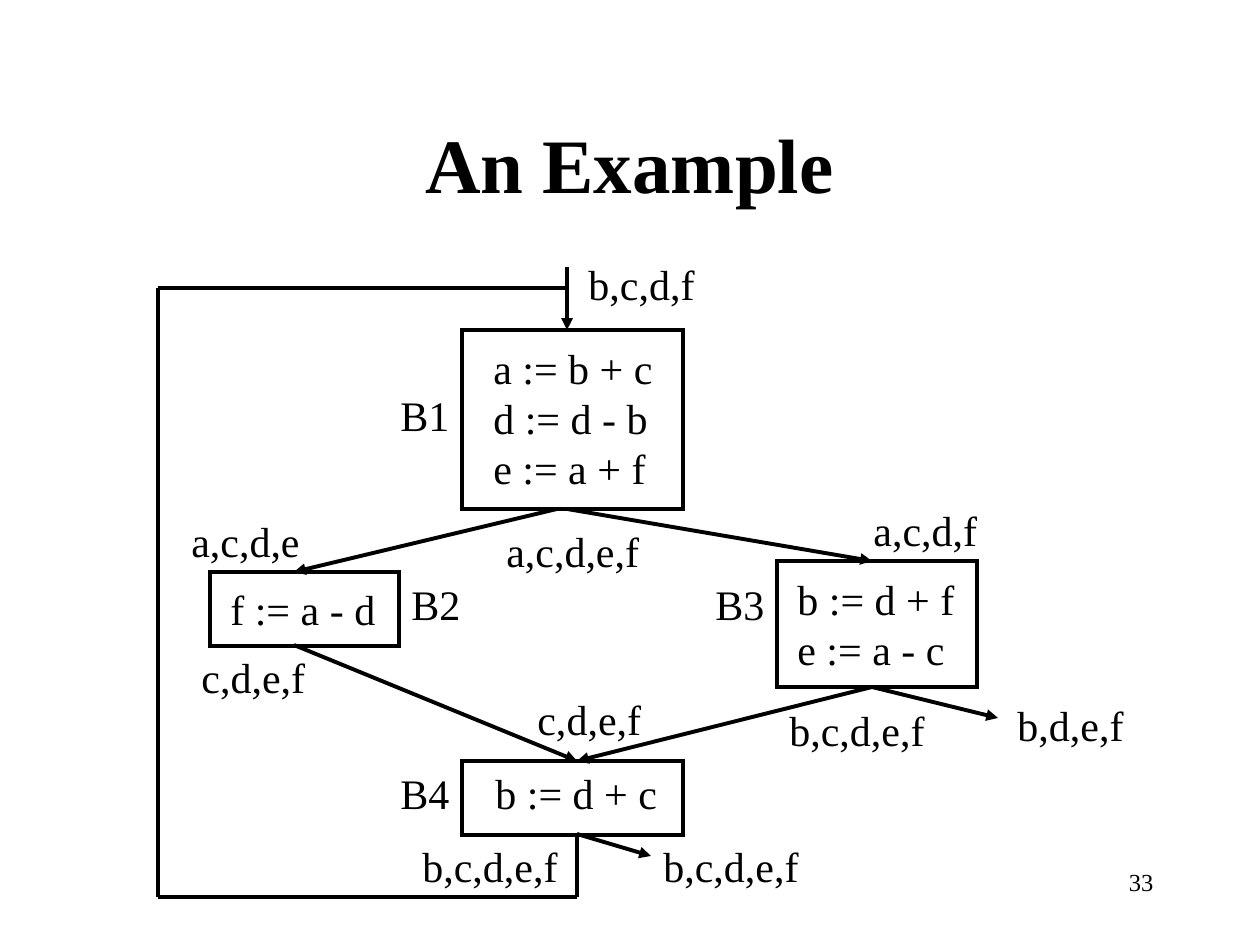
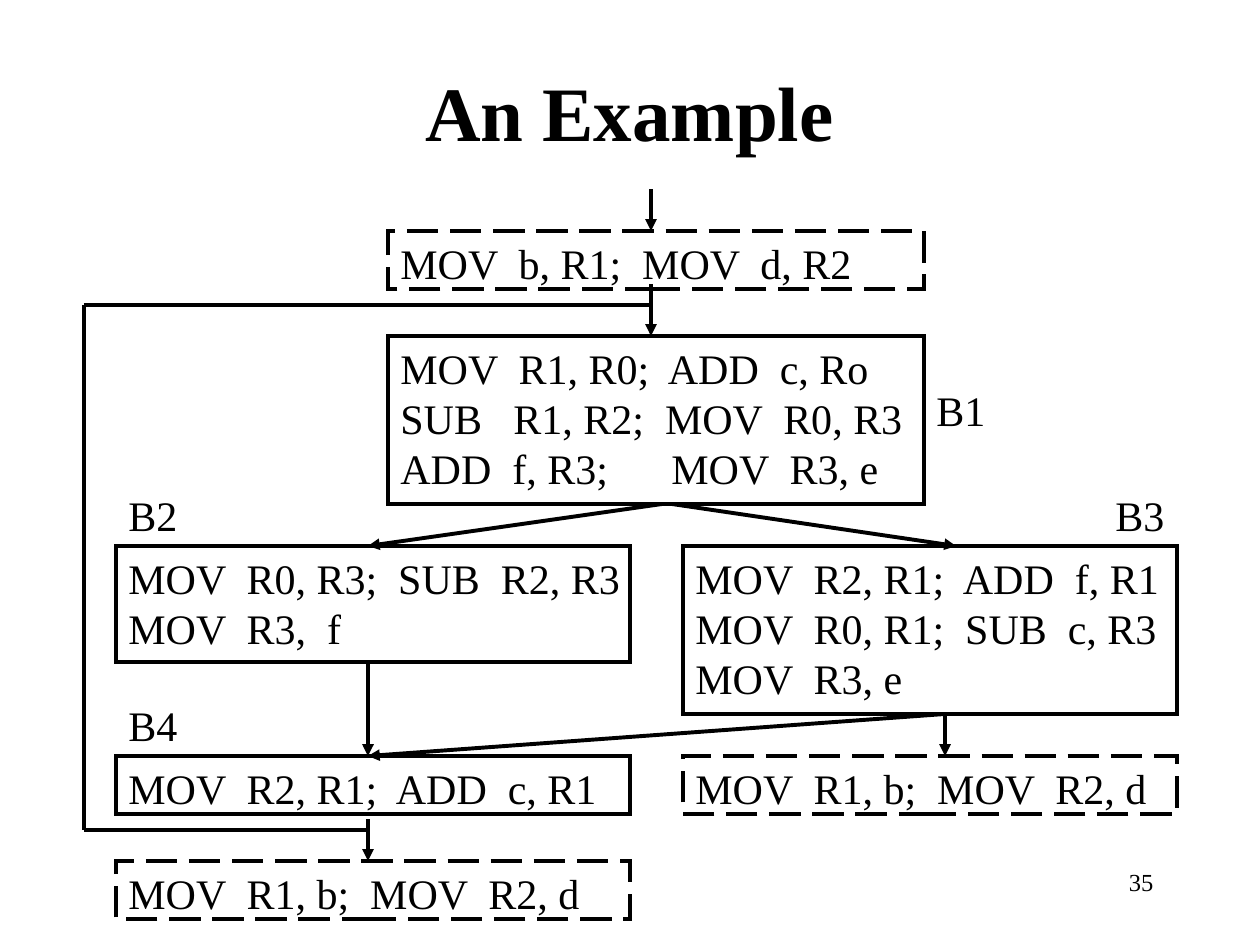
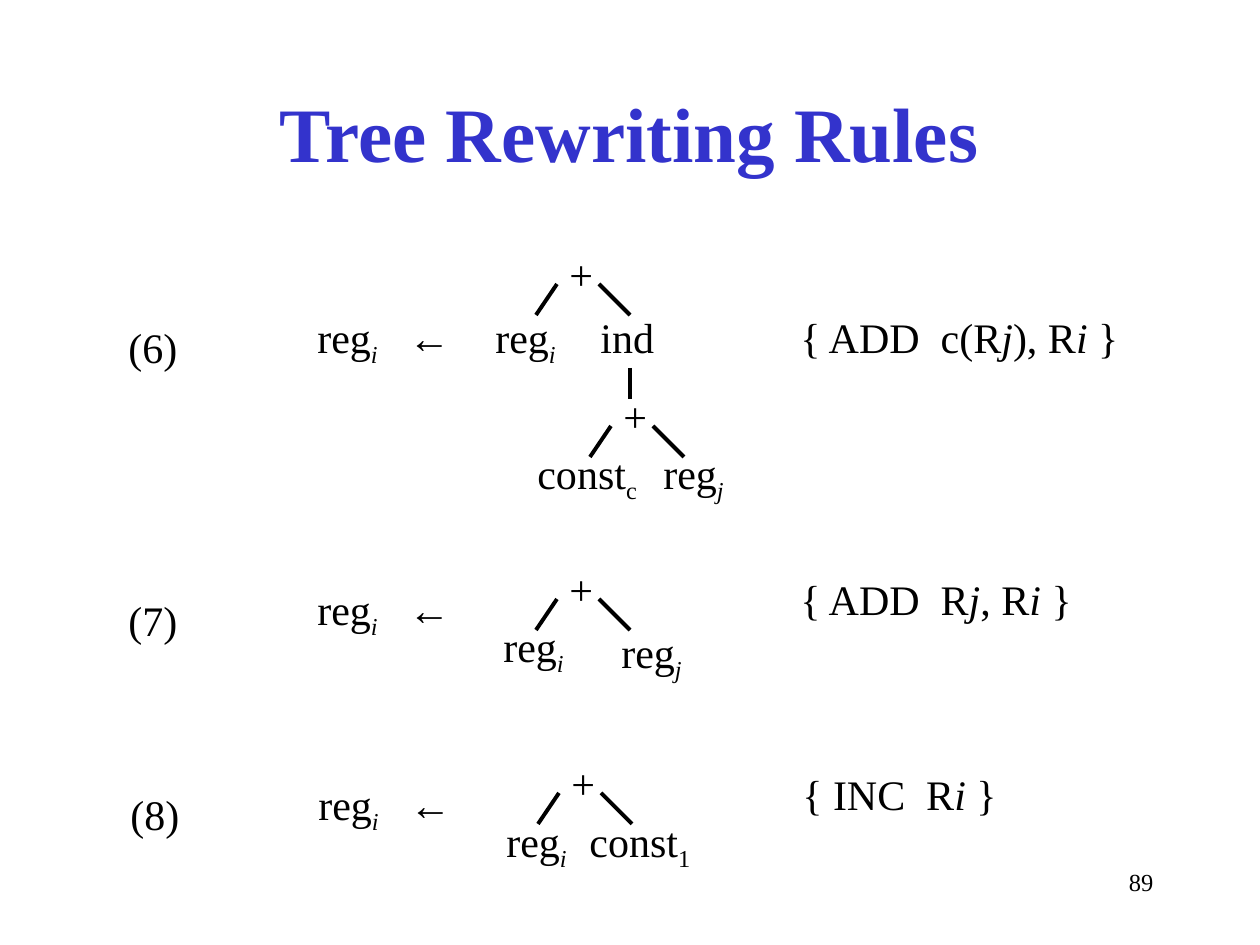
"""Build three compiler slides: two flow graphs and a set of tree rewriting rules."""
from dataclasses import dataclass

from lxml.etree import SubElement
from pptx import Presentation
from pptx.dml.color import RGBColor
from pptx.enum.dml import MSO_LINE
from pptx.enum.shapes import MSO_CONNECTOR, MSO_SHAPE
from pptx.enum.text import MSO_ANCHOR, MSO_AUTO_SIZE, PP_ALIGN
from pptx.oxml.ns import qn
from pptx.util import Emu, Pt

PX_PER_INCH = 126


@dataclass(frozen=True)
class Theme:
    font: str = "Times New Roman"
    ink: RGBColor = RGBColor(0, 0, 0)
    accent: RGBColor = RGBColor(0x33, 0x33, 0xCC)
    title_size: int = 44
    text_size: int = 24
    page_size: int = 14
    line_width: float = 2.25
    line_height: int = 63
    line_step: float = 50.4
    text_slack: int = 4


THEME = Theme()
TITLE_LEFT, TITLE_WIDTH, TITLE_HEIGHT = 94, 1071, 158
PAGE_SPOT = (903, 861, 259)
LABEL_WIDTH = 74

LIVENESS_GRAPH = {
    "title": "An Example", "title_top": 84, "page": "33",
    "blocks": [
        ((462, 330, 221, 179), (481, 336, 184), ["a := b + c", "d := d - b", "e := a + f"]),
        ((210, 572, 189, 74), (218, 577, 170), ["f := a - d"]),
        ((777, 561, 200, 126), (785, 567, 183), ["b := d + f", "e := a - c"]),
        ((462, 761, 221, 74), (483, 761, 186), ["b := d + c"]),
    ],
    "exits": [],
    "labels": [("B1", 388, 383), ("B2", 399, 572), ("B3", 703, 572), ("B4", 388, 761)],
    "live": [
        ("b,c,d,f", 576, 252, 131), ("a,c,d,e,f", 494, 519, 159),
        ("a,c,d,e", 179, 509, 134), ("c,d,e,f", 189, 645, 129),
        ("a,c,d,f", 861, 498, 129), ("b,c,d,e,f", 777, 698, 160),
        ("b,d,e,f", 1005, 693, 131), ("c,d,e,f", 525, 687, 129),
        ("b,c,d,e,f", 410, 834, 160), ("b,c,d,e,f", 651, 834, 160),
    ],
    "arrows": [
        ((567, 267), (567, 330)), ((557, 509), (294, 572)), ((567, 509), (872, 561)),
        ((294, 645), (577, 761)), ((872, 687), (577, 761)), ((872, 687), (998, 718)),
        ((577, 834), (651, 856)),
    ],
    "loop": [(577, 834), (577, 897), (158, 897), (158, 288), (567, 288)],
}

REGISTER_GRAPH = {
    "title": "An Example", "title_top": 32, "page": "35",
    "blocks": [
        ((388, 336, 536, 168), (388, 336, 528),
         ["MOV  R1, R0;  ADD  c, Ro", "SUB   R1, R2;  MOV  R0, R3", "ADD  f, R3;\tMOV  R3, e"]),
        ((116, 546, 514, 116), (116, 546, 518), ["MOV  R0, R3;  SUB  R2, R3", "MOV  R3,  f"]),
        ((683, 546, 494, 168), (683, 546, 493),
         ["MOV  R2, R1;  ADD  f, R1", "MOV  R0, R1;  SUB  c, R3", "MOV  R3, e"]),
        ((116, 756, 514, 58), (116, 756, 496), ["MOV  R2, R1;  ADD  c, R1"]),
    ],
    "exits": [
        ((388, 231, 536, 58), (388, 231, 479), ["MOV  b, R1;  MOV  d, R2"]),
        ((683, 756, 494, 58), (683, 756, 479), ["MOV  R1, b;  MOV  R2, d"]),
        ((116, 861, 514, 58), (116, 861, 479), ["MOV  R1, b;  MOV  R2, d"]),
    ],
    "labels": [("B1", 924, 378), ("B2", 116, 483), ("B3", 1103, 483), ("B4", 116, 693)],
    "live": [],
    "arrows": [
        ((651, 189), (651, 231)), ((651, 284), (651, 336)), ((662, 504), (368, 546)),
        ((672, 504), (956, 546)), ((368, 662), (368, 756)), ((945, 714), (368, 756)),
        ((945, 714), (945, 756)), ((368, 819), (368, 861)),
    ],
    "loop": [(368, 830), (84, 830), (84, 305), (651, 305)],
}
CODE_TAB, REWRITE_TAB = 271, 91

REG_I = [("reg", ""), ("i", "is")]
REG_J = [("reg", ""), ("j", "is")]
CONST_C = [("const", ""), ("c", "s")]
CONST_1 = [("const", ""), ("1", "s")]
REWRITTEN = REG_I + [("\t", ""), ("←", "b")]

RULES = [
    {
        "number": ("(6)", 116, 315), "result": (305, 305),
        "action": ([("{ ADD  c(R", ""), ("j", "i"), ("), R", ""), ("i", "i"), (" }", "")],
                   788, 305, 345),
        "pluses": [(557, 242), (611, 384)],
        "nodes": [(REG_I, 483, 305, 87), ("ind", 588, 305, 79),
                  (CONST_C, 525, 441, 126), (REG_J, 651, 441, 87)],
        "stems": [((630, 368), (630, 399))],
    },
    {
        "number": ("(7)", 116, 588), "result": (305, 577),
        "action": ([("{ ADD  R", ""), ("j", "i"), (", R", ""), ("i", "i"), (" }", "")],
                   788, 567, 299),
        "pluses": [(557, 557)],
        "nodes": [(REG_I, 491, 614, 87), (REG_J, 609, 620, 87)],
        "stems": [],
    },
    {
        "number": ("(8)", 118, 782), "result": (306, 772),
        "action": ([("{ INC  R", ""), ("i", "i"), (" }", "")], 790, 762, 219),
        "pluses": [(559, 751)],
        "nodes": [(REG_I, 494, 809, 87), (CONST_1, 577, 809, 129)],
        "stems": [],
    },
]
PLUS_WIDTH, RESULT_WIDTH = 49, 160
BRANCHES = [((0, 42), (-21, 73)), ((42, 42), (73, 73))]


def px(length):
    return Emu(round(length * 914400 / PX_PER_INCH))


def style_run(run, size, color=THEME.ink, marks=""):
    font = run.font
    font.name, font.size, font.color.rgb = THEME.font, Pt(size), color
    if "b" in marks:
        font.bold = True
    if "i" in marks:
        font.italic = True
    if "s" in marks:
        run._r.get_or_add_rPr().set("baseline", "-25000")


def add_tab_stop(paragraph, position):
    stops = SubElement(paragraph._p.get_or_add_pPr(), qn("a:tabLst"))
    SubElement(stops, qn("a:tab"), pos=str(px(position)), algn="l")


def add_text(slide, lines, left, top, width, size=THEME.text_size, tab=None):
    width += THEME.text_slack
    height = THEME.line_height + THEME.line_step * (len(lines) - 1)
    frame = slide.shapes.add_textbox(px(left), px(top), px(width), px(height)).text_frame
    frame.word_wrap = False
    frame.auto_size = MSO_AUTO_SIZE.SHAPE_TO_FIT_TEXT
    for index, line in enumerate(lines):
        paragraph = frame.add_paragraph() if index else frame.paragraphs[0]
        pieces = [(line, "")] if isinstance(line, str) else line
        for words, marks in pieces:
            run = paragraph.add_run()
            run.text = words
            style_run(run, size, marks=marks)
        if any("\t" in words for words, _ in pieces):
            add_tab_stop(paragraph, tab)
    return frame


def set_line(line):
    line.color.rgb = THEME.ink
    line.width = Pt(THEME.line_width)


def add_line(slide, start, end, arrow=False):
    connector = slide.shapes.add_connector(MSO_CONNECTOR.STRAIGHT, *map(px, (*start, *end)))
    set_line(connector.line)
    if arrow:
        SubElement(connector.line._get_or_add_ln(), qn("a:tailEnd"), type="triangle")
    SubElement(connector._element.spPr, qn("a:effectLst"))


def add_block(slide, box, code_spot, code, dashed=False):
    add_text(slide, code, *code_spot, tab=CODE_TAB)
    outline = slide.shapes.add_shape(MSO_SHAPE.RECTANGLE, *map(px, box))
    outline.shadow.inherit = False
    outline.fill.background()
    set_line(outline.line)
    if dashed:
        outline.line.dash_style = MSO_LINE.LONG_DASH
    SubElement(outline.line._get_or_add_ln(), qn("a:miter"), lim="800000")


def add_slide(deck, title, title_top, page, color=THEME.ink):
    slide = deck.slides.add_slide(deck.slide_layouts[5])
    heading = slide.shapes.title
    heading.left, heading.top = px(TITLE_LEFT), px(title_top)
    heading.width, heading.height = px(TITLE_WIDTH), px(TITLE_HEIGHT)
    frame = heading.text_frame
    frame.text = title
    frame.auto_size = MSO_AUTO_SIZE.NONE
    frame.vertical_anchor = MSO_ANCHOR.MIDDLE
    frame.paragraphs[0].alignment = PP_ALIGN.CENTER
    style_run(frame.paragraphs[0].runs[0], THEME.title_size, color, "b")
    footer = add_text(slide, [page], *PAGE_SPOT, size=THEME.page_size)
    footer.word_wrap = True
    footer.auto_size = MSO_AUTO_SIZE.NONE
    footer.paragraphs[0].alignment = PP_ALIGN.RIGHT
    return slide


def add_flow_graph(deck, graph):
    slide = add_slide(deck, graph["title"], graph["title_top"], graph["page"])
    for block in graph["blocks"]:
        add_block(slide, *block)
    for block in graph["exits"]:
        add_block(slide, *block, dashed=True)
    for start, end in graph["arrows"]:
        add_line(slide, start, end, arrow=True)
    for start, end in zip(graph["loop"], graph["loop"][1:]):
        add_line(slide, start, end)
    for label, left, top in graph["labels"]:
        add_text(slide, [label], left, top, LABEL_WIDTH)
    for names, left, top, width in graph["live"]:
        add_text(slide, [names], left, top, width)


def add_rule(slide, rule):
    number, left, top = rule["number"]
    add_text(slide, [number], left, top, LABEL_WIDTH)
    add_text(slide, [REWRITTEN], *rule["result"], RESULT_WIDTH, tab=REWRITE_TAB)
    for words, left, top, width in [*rule["nodes"], rule["action"]]:
        add_text(slide, [words], left, top, width)
    for left, top in rule["pluses"]:
        add_text(slide, ["+"], left, top, PLUS_WIDTH)
        for branch in BRANCHES:
            add_line(slide, *((left + dx, top + dy) for dx, dy in branch))
    for start, end in rule["stems"]:
        add_line(slide, start, end)


def main():
    deck = Presentation()
    deck.slide_width, deck.slide_height = px(1260), px(945)
    for graph in (LIVENESS_GRAPH, REGISTER_GRAPH):
        add_flow_graph(deck, graph)
    rules_slide = add_slide(deck, "Tree Rewriting Rules", 53, "89", THEME.accent)
    for rule in RULES:
        add_rule(rules_slide, rule)
    deck.save("out.pptx")


if __name__ == "__main__":
    main()
